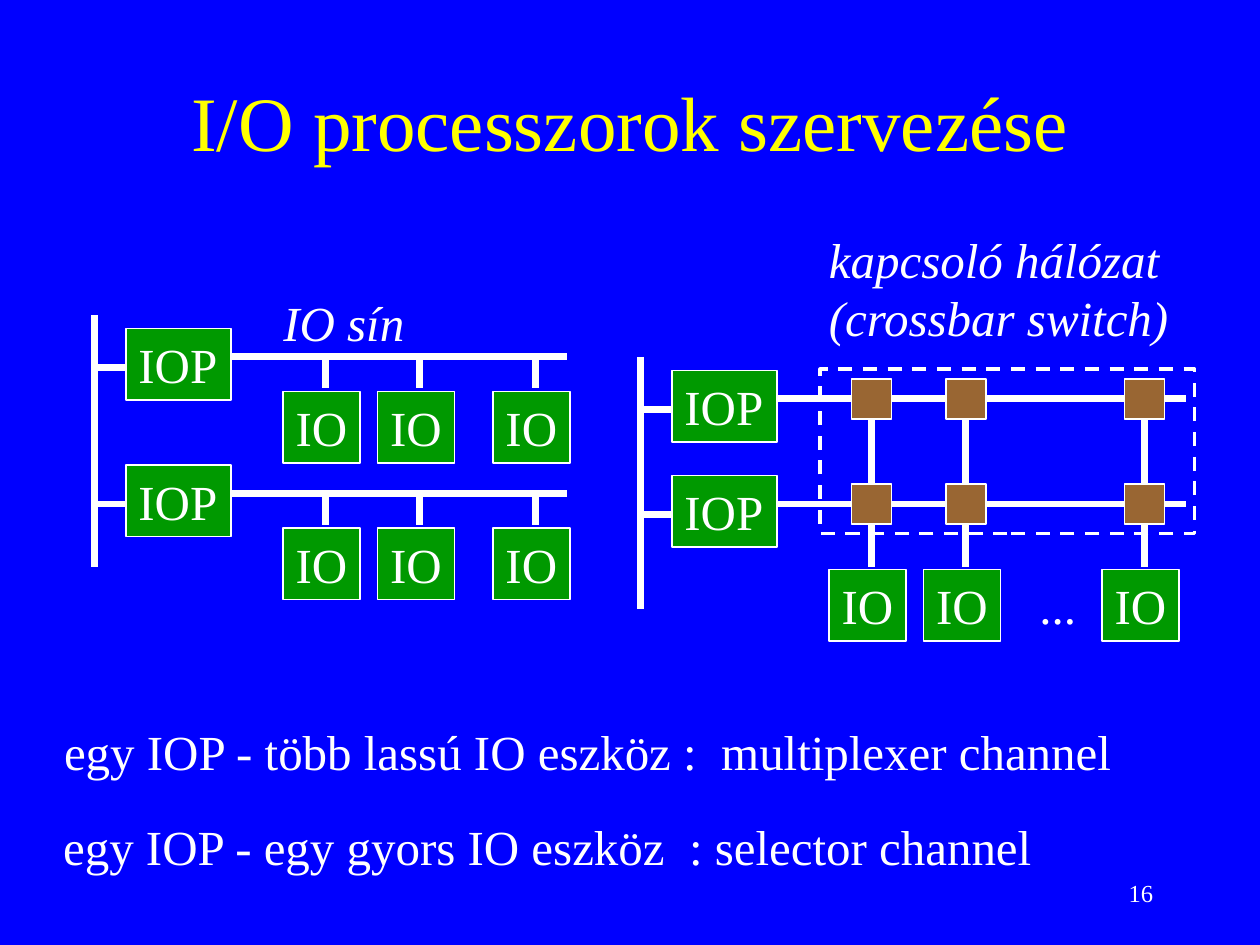
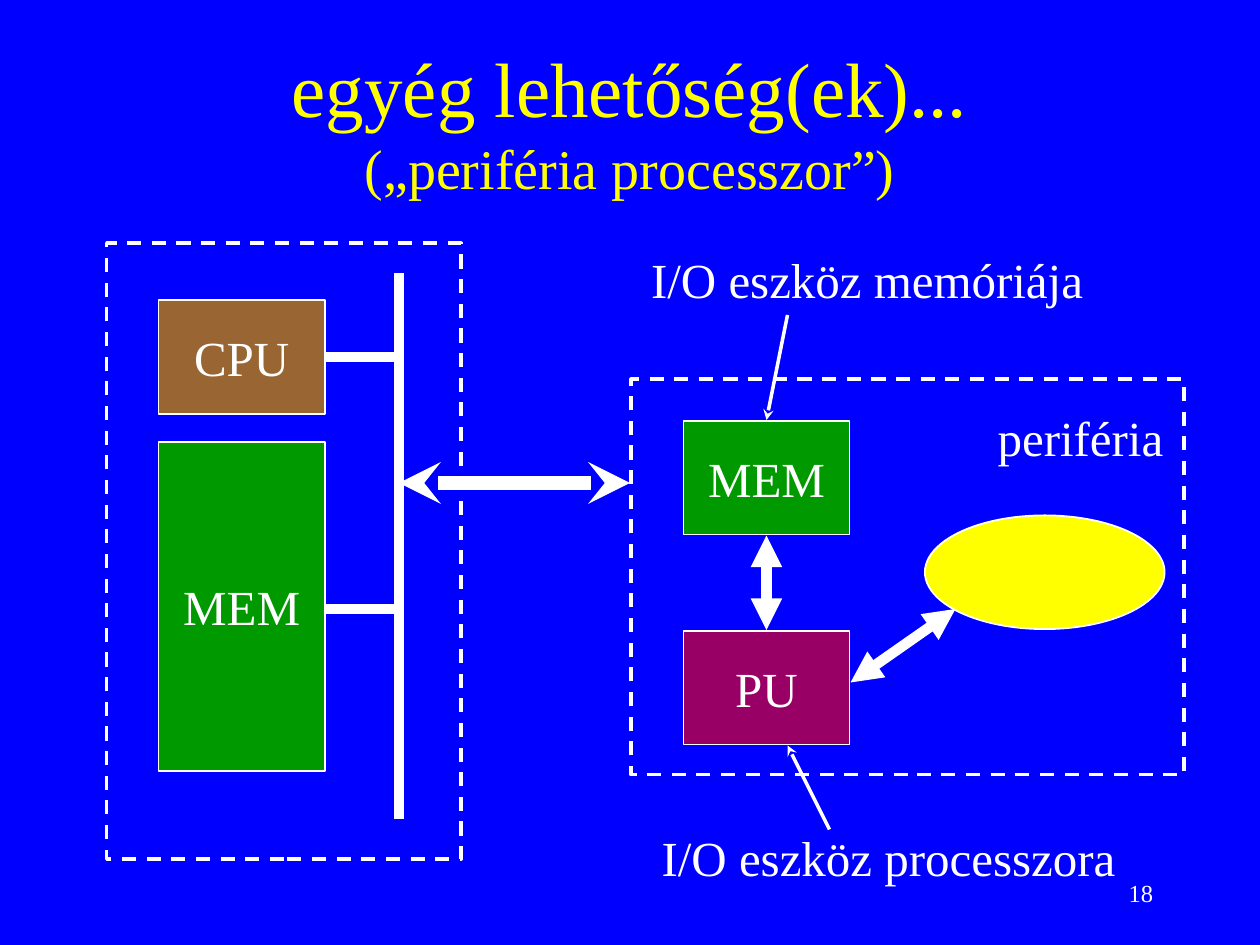
"""Build two slides on I/O processor organisation and peripheral processors."""
from lxml.etree import SubElement
from pptx import Presentation
from pptx.dml.color import RGBColor
from pptx.enum.dml import MSO_LINE
from pptx.enum.shapes import MSO_CONNECTOR, MSO_SHAPE
from pptx.enum.text import MSO_ANCHOR as ANCHOR, PP_ALIGN as ALIGN
from pptx.oxml.ns import qn
from pptx.util import Pt

COLORS = {
    "background": "0000FF",
    "title": "FFFF00",
    "white": "FFFFFF",
    "green": "009900",
    "brown": "996633",
    "purple": "990066",
    "yellow": "FFFF00",
}
FONT = "Times New Roman"
RECTANGLE = MSO_SHAPE.RECTANGLE


def add_box(slide, place, text="", fill=None, kind=None, dashed=False, size=28, color="white",
            italic=False, align=ALIGN.LEFT, anchor=ANCHOR.TOP, wrap=False):
    """Add a text box, or a preset shape when a kind is given."""
    lengths = [Pt(value) for value in place]
    if kind is None:
        shape = slide.shapes.add_textbox(*lengths)
    else:
        shape = slide.shapes.add_shape(kind, *lengths)
        shape.shadow.inherit = False
        shape.line.color.rgb = RGBColor.from_string(COLORS["white"])
        shape.line.width = Pt(2 if dashed else 1)
        if dashed:
            shape.line.dash_style = MSO_LINE.DASH
        if fill:
            shape.fill.solid()
            shape.fill.fore_color.rgb = RGBColor.from_string(COLORS[fill])
        else:
            shape.fill.background()
    if text:
        frame = shape.text_frame
        frame.text = text
        frame.word_wrap = wrap
        frame.vertical_anchor = anchor
        for paragraph in frame.paragraphs:
            paragraph.alignment = align
            for run in paragraph.runs:
                run.font.name = FONT
                run.font.size = Pt(size)
                run.font.italic = italic
                run.font.color.rgb = RGBColor.from_string(COLORS[color])
    return shape


def add_line(slide, start_x, start_y, end_x, end_y, width=4, head=None, tail=None):
    """Add a white straight line with optional arrowheads."""
    line = slide.shapes.add_connector(
        MSO_CONNECTOR.STRAIGHT, Pt(start_x), Pt(start_y), Pt(end_x), Pt(end_y))
    line.line.color.rgb = RGBColor.from_string(COLORS["white"])
    line.line.width = Pt(width)
    outline = line.line._get_or_add_ln()
    for tag, arrow in (("a:headEnd", head), ("a:tailEnd", tail)):
        if arrow:
            SubElement(outline, qn(tag), type=arrow)
    SubElement(line._element.spPr, qn("a:effectLst"))


presentation = Presentation()
presentation.slide_width = Pt(720)
presentation.slide_height = Pt(540)

slides = []
for title, number in (
    ("I/O processzorok szervezése", "16"),
    ("egyég lehetőség(ek)...\v(„periféria processzor”)", "18"),
):
    slide = presentation.slides.add_slide(presentation.slide_layouts[6])
    slide.background.fill.solid()
    slide.background.fill.fore_color.rgb = RGBColor.from_string(COLORS["background"])
    title_box = add_box(slide, (54, 24, 612, 90), title, size=44, color="title",
                        align=ALIGN.CENTER, anchor=ANCHOR.MIDDLE, wrap=True)
    for subtitle_run in title_box.text_frame.paragraphs[0].runs[1:]:
        subtitle_run.font.size = Pt(32)
    add_box(slide, (516, 492, 150, 36), number, size=14,
            align=ALIGN.RIGHT, anchor=ANCHOR.MIDDLE, wrap=True)
    slides.append(slide)
organisation, peripheral = slides

add_line(organisation, 54, 180, 54, 324)
for bus_y in (204, 282):
    add_line(organisation, 72, bus_y + 6, 54, bus_y + 6)
    add_box(organisation, (72, bus_y - 16.3, 60, 41), "IOP", "green", RECTANGLE)
    add_line(organisation, 132, bus_y, 324, bus_y)
    for device_x in (186, 240, 306):
        add_line(organisation, device_x, bus_y, device_x, bus_y + 18)
        add_box(organisation, (device_x - 24.2, bus_y + 19.7, 44, 41), "IO", "green", RECTANGLE)
add_box(organisation, (154.8, 163.4, 83.5, 41), "IO sín", italic=True)

switch_columns = (498, 552, 654)
switch_rows = (228, 288)
add_line(organisation, 366, 204, 366, 348)
for row_y in switch_rows:
    add_line(organisation, 384, row_y + 6, 366, row_y + 6)
    add_box(organisation, (384, row_y - 16.3, 60, 41), "IOP", "green", RECTANGLE)
    add_line(organisation, 444, row_y, 678, row_y)
for column_x in switch_columns:
    add_line(organisation, column_x, 228, column_x, 324)
    add_box(organisation, (column_x - 24.2, 325.5, 44, 41), "IO", "green", RECTANGLE)
    for row_y in switch_rows:
        add_box(organisation, (column_x - 11.5, row_y - 11.5, 23, 23), fill="brown", kind=RECTANGLE)
add_box(organisation, (468.7, 211, 214, 94), kind=RECTANGLE, dashed=True)
add_box(organisation, (466.6, 127.4, 209.5, 75), "kapcsoló hálózat\n(crossbar switch)", italic=True)
add_box(organisation, (586.8, 325.5, 35.3, 41), "...")
add_box(organisation, (29.5, 409, 614, 41), "egy IOP - több lassú IO eszköz :  multiplexer channel")
add_box(organisation, (29, 463, 569, 41), "egy IOP - egy gyors IO eszköz  : selector channel")

for frame_place in ((61, 139, 202.5, 352), (360.7, 216.7, 316, 226)):
    add_box(peripheral, frame_place, kind=RECTANGLE, dashed=True)
for name, fill, left, top, height in (
    ("CPU", "brown", 90.6, 171.5, 65),
    ("MEM", "green", 90.6, 252.5, 188),
    ("MEM", "green", 390.5, 240.5, 65),
    ("PU", "purple", 390.5, 360.5, 65),
):
    add_box(peripheral, (left, top, 95, height), name, fill, RECTANGLE,
            align=ALIGN.CENTER, anchor=ANCHOR.MIDDLE)
add_box(peripheral, (528.5, 294.5, 137, 65), fill="yellow", kind=MSO_SHAPE.OVAL)

for label, place in (
    ("I/O eszköz memóriája", (365, 139, 261.4, 41)),
    ("periféria", (563, 229.2, 109.4, 41)),
    ("I/O eszköz processzora", (371, 469.4, 273.6, 41)),
):
    add_box(peripheral, place, label)

add_line(peripheral, 228, 156, 228, 468, 6)
for branch_y in (204, 348):
    add_line(peripheral, 186, branch_y, 228, branch_y, 6)
add_line(peripheral, 228, 276, 360, 276, 8, "stealth", "stealth")
for ends in ((438, 306, 438, 360), (546, 348, 486, 390)):
    add_line(peripheral, *ends, 6, "triangle", "triangle")
for ends in ((438, 240, 450, 180), (450, 426, 474, 474)):
    add_line(peripheral, *ends, 2, "stealth")

presentation.save("out.pptx")
